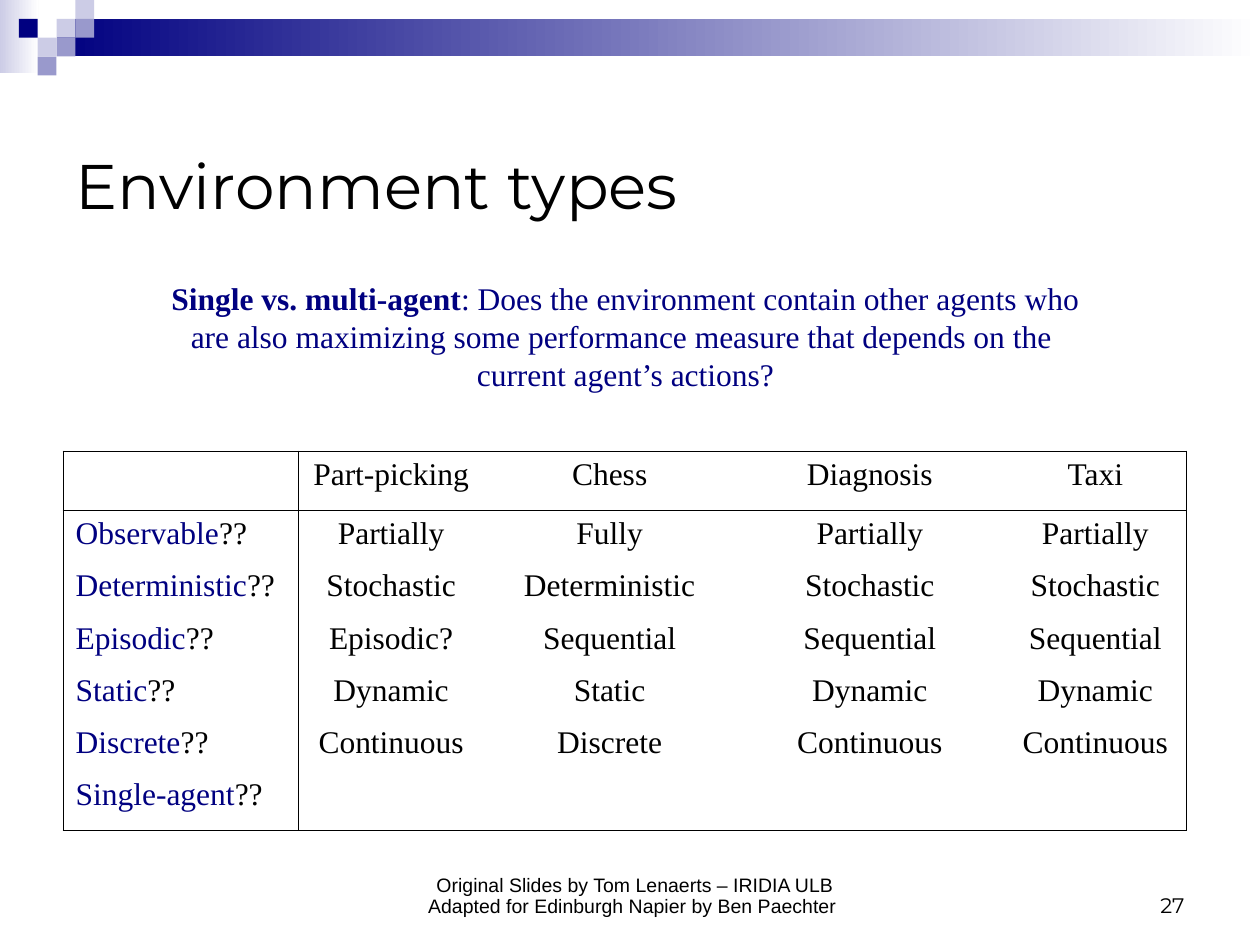
from lxml.etree import SubElement
from pptx import Presentation
from pptx.dml.color import RGBColor
from pptx.enum.shapes import MSO_SHAPE
from pptx.enum.text import MSO_ANCHOR, PP_ALIGN
from pptx.oxml.ns import qn
from pptx.util import Cm, Pt

COLORS = {"ink": "000000", "navy": "000080", "mid": "9999CC", "pale": "CCCCE6", "white": "FFFFFF"}
SERIF = {"name": "Times New Roman", "size": Pt(18)}
SQUARE = 0.38


def rgb(color):
    return RGBColor.from_string(COLORS[color])


class SlideBuilder:
    def __init__(self, deck):
        self.slide = deck.slides.add_slide(deck.slide_layouts[5])

    def add_runs(self, paragraph, runs, style, align=PP_ALIGN.CENTER, spacing=None):
        paragraph.alignment = align
        paragraph.line_spacing = spacing
        for words, color, bold in runs:
            run = paragraph.add_run()
            run.text = words
            for key, value in {**style, "bold": bold}.items():
                setattr(run.font, key, value)
            run.font.color.rgb = rgb(color)

    def fill_frame(self, frame, lines, style, anchor, wrap=True, **layout):
        frame.word_wrap = wrap
        frame.vertical_anchor = anchor
        for index, runs in enumerate(lines):
            paragraph = frame.add_paragraph() if index else frame.paragraphs[0]
            self.add_runs(paragraph, runs, style, **layout)

    def title(self, words, box, style):
        heading = self.slide.shapes.title
        heading.left, heading.top, heading.width, heading.height = map(Cm, box)
        self.fill_frame(heading.text_frame, [[(words, "ink", False)]], style,
                        MSO_ANCHOR.MIDDLE, align=PP_ALIGN.LEFT)

    def text(self, lines, box, style, anchor=MSO_ANCHOR.BOTTOM, **layout):
        frame = self.slide.shapes.add_textbox(*map(Cm, box)).text_frame
        self.fill_frame(frame, lines, style, anchor, **layout)

    def block(self, box, color, fade_to=None):
        block = self.slide.shapes.add_shape(MSO_SHAPE.RECTANGLE, *map(Cm, box))
        block.shadow.inherit = False
        block.line.fill.background()
        if fade_to:
            block.fill.gradient()
            block.fill.gradient_angle = 0
            for stop, shade in zip(block.fill.gradient_stops, (color, fade_to)):
                stop.color.rgb = rgb(shade)
        else:
            block.fill.solid()
            block.fill.fore_color.rgb = rgb(color)

    def border(self, cell, sides):
        properties = cell._tc.get_or_add_tcPr()
        for index, (side, drawn) in enumerate(sides.items()):
            line = SubElement(properties, qn(f"a:ln{side}"), w=str(Pt(0.45)))
            if drawn:
                fill = SubElement(line, qn("a:solidFill"))
                SubElement(fill, qn("a:srgbClr"), val=COLORS["ink"])
            else:
                SubElement(line, qn("a:noFill"))
            properties.insert(index, line)

    def table(self, rows, left, top, widths, heights, style):
        grid = self.slide.shapes.add_table(len(rows), len(widths), Cm(left), Cm(top),
                                           Cm(sum(widths)), Cm(sum(heights))).table
        grid.first_row = grid.horz_banding = False
        for column, width in zip(grid.columns, widths):
            column.width = Cm(width)
        for row, height in zip(grid.rows, heights):
            row.height = Cm(height)
        last_row, last_column = len(rows) - 1, len(widths) - 1
        for r, values in enumerate(rows):
            for c, value in enumerate(values):
                cell = grid.cell(r, c)
                cell.fill.background()
                self.border(cell, {"L": c in (0, 1), "R": c in (0, last_column),
                                   "T": r in (0, 1), "B": r in (0, last_row)})
                if value and c == 0:
                    self.add_runs(cell.text_frame.paragraphs[0],
                                  [(value, "navy", False), ("??", "ink", False)],
                                  style, PP_ALIGN.LEFT)
                elif value:
                    self.add_runs(cell.text_frame.paragraphs[0], [(value, "ink", False)], style)


def main():
    deck = Presentation()
    deck.slide_width, deck.slide_height = Cm(25.4), Cm(19.05)
    page = SlideBuilder(deck)

    page.block((0, 0, 0.78, 1.48), "pale", fade_to="white")
    page.block((3 * SQUARE, SQUARE, 25.4 - 3 * SQUARE, 2 * SQUARE), "navy", fade_to="white")
    for column, row, color in [(3, 1, "pale"), (4, 0, "pale"), (4, 1, "mid"), (2, 2, "pale"),
                               (1, 1, "navy"), (3, 2, "mid"), (2, 3, "mid")]:
        page.block((column * SQUARE, row * SQUARE, SQUARE, SQUARE), color)

    credits = ["Original Slides by Tom Lenaerts – IRIDIA ULB",
               "Adapted for Edinburgh Napier by Ben Paechter "]
    page.text([[(credit, "ink", False)] for credit in credits], (7.7, 17.35, 10.2, 1.27),
              {"name": "Arial", "size": Pt(11.1)}, spacing=0.9)
    page.text([[("27", "ink", False)]], (18.2, 17.35, 5.93, 1.27),
              {"name": "Montserrat", "size": Pt(12)}, align=PP_ALIGN.RIGHT)
    page.title("Environment types", (1.27, 2.12, 22.86, 3.18),
               {"name": "Montserrat", "size": Pt(36)})

    page.table([
        ["", "Part-picking", "Chess", "Diagnosis", "Taxi"],
        ["Observable", "Partially", "Fully", "Partially", "Partially"],
        ["Deterministic", "Stochastic", "Deterministic", "Stochastic", "Stochastic"],
        ["Episodic", "Episodic?", "Sequential", "Sequential", "Sequential"],
        ["Static", "Dynamic", "Static", "Dynamic", "Dynamic"],
        ["Discrete", "Continuous", "Discrete", "Continuous", "Continuous"],
        ["Single-agent", "", "", "", ""],
    ], 1.27, 9.09, [4.75, 3.73, 5.08, 5.41, 3.68], [1.2] + [1.05] * 5 + [1.2], SERIF)

    page.text([
        [("Single vs. multi-agent", "navy", True),
         (": Does the environment contain other agents who", "navy", False)],
        [("are also maximizing some performance measure that depends on the ", "navy", False)],
        [("current agent’s actions?", "navy", False)],
    ], (3.2, 5.51, 18.82, 2.54), SERIF, anchor=MSO_ANCHOR.TOP, wrap=False)

    deck.save("out.pptx")


if __name__ == "__main__":
    main()
